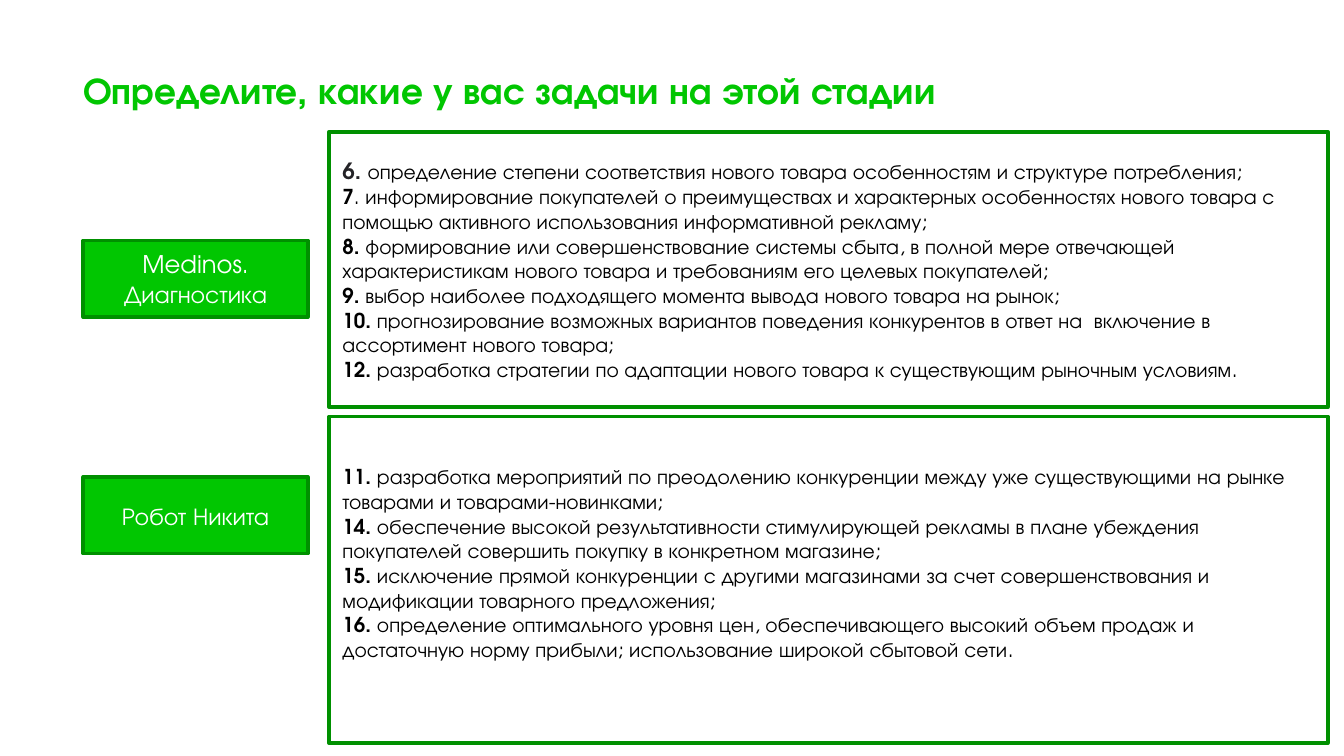
"""Build a slide that sorts launch-stage tasks between two projects."""
from pptx import Presentation
from pptx.dml.color import RGBColor
from pptx.enum.shapes import MSO_SHAPE
from pptx.enum.text import MSO_ANCHOR, PP_ALIGN
from pptx.util import Inches, Pt

GREEN = RGBColor(0x01, 0xC6, 0x01)
DARK_GREEN = RGBColor(0x00, 0x90, 0x00)
WHITE = RGBColor(0xFF, 0xFF, 0xFF)
BLACK = RGBColor(0x00, 0x00, 0x00)
CHARCOAL = RGBColor(0x24, 0x23, 0x27)
FONT = "TeX Gyre Adventor"

DIAGNOSTIC_TASKS = [
    ("6. ", "определение степени соответствия нового товара особенностям и структуре потребления;"),
    ("7", ". информирование покупателей о преимуществах и характерных особенностях нового товара с "
          "помощью активного использования информативной рекламу;"),
    ("8.", " формирование или совершенствование системы сбыта, в полной мере отвечающей "
           "характеристикам нового товара и требованиям его целевых покупателей;"),
    ("9.", " выбор наиболее подходящего момента вывода нового товара на рынок;"),
    ("10.", " прогнозирование возможных вариантов поведения конкурентов в ответ на  включение в "
            "ассортимент нового товара;"),
    ("12.", " разработка стратегии по адаптации нового товара к существующим рыночным условиям."),
]
ROBOT_TASKS = [
    ("11.", " разработка мероприятий по преодолению конкуренции между уже существующими на рынке "
            "товарами и товарами-новинками;"),
    ("14.", " обеспечение высокой результативности стимулирующей рекламы в плане убеждения "
            "покупателей совершить покупку в конкретном магазине;"),
    ("15.", " исключение прямой конкуренции с другими магазинами за счет совершенствования и "
            "модификации товарного предложения;"),
    ("16.", " определение оптимального уровня цен, обеспечивающего высокий объем продаж и "
            "достаточную норму прибыли; использование широкой сбытовой сети."),
]
PROJECTS = [
    (["Medinos.", "Диагностика"], 1.79, 0.98, 2.05, 0.05, DIAGNOSTIC_TASKS),
    (["Робот Никита"], 3.55, 3.1, 2.43, 0.3, ROBOT_TASKS),
]


def style(run, size, color, bold=False):
    run.font.name = FONT
    run.font.size = Pt(size)
    run.font.bold = bold
    run.font.color.rgb = color


def add_box(left, top, width, height):
    box = slide.shapes.add_shape(
        MSO_SHAPE.RECTANGLE, Inches(left), Inches(top), Inches(width), Inches(height))
    box.shadow.inherit = False
    box.line.color.rgb = DARK_GREEN
    box.line.width = Pt(2)
    box.text_frame.word_wrap = True
    box.text_frame.vertical_anchor = MSO_ANCHOR.MIDDLE
    return box


deck = Presentation()
deck.slide_width = Inches(10)
deck.slide_height = Inches(10 * 9 / 16)
slide = deck.slides.add_slide(deck.slide_layouts[6])

heading = slide.shapes.add_textbox(
    Inches(0.62), Inches(0.4), Inches(7.67), Inches(0.75)).text_frame
heading.word_wrap = True
heading.margin_left = 0
heading.margin_top = heading.margin_right = heading.margin_bottom = Inches(0.1)
heading.text = "Определите, какие у вас задачи на этой стадии"
style(heading.paragraphs[0].runs[0], 20, GREEN, True)

for name_lines, label_top, panel_top, panel_height, bottom_inset, tasks in PROJECTS:
    label = add_box(0.62, label_top, 1.67, 0.57)
    label.fill.solid()
    label.fill.fore_color.rgb = GREEN
    label.text_frame.text = "\n".join(name_lines)
    for paragraph in label.text_frame.paragraphs:
        paragraph.alignment = PP_ALIGN.CENTER
        style(paragraph.runs[0], 13, WHITE)

    panel = add_box(2.45, panel_top, 7.43, panel_height)
    panel.fill.background()
    panel.text_frame.margin_bottom = Inches(bottom_inset)
    panel.text_frame.text = "\n".join(number for number, task in tasks)
    for paragraph, (number, task) in zip(panel.text_frame.paragraphs, tasks):
        paragraph.alignment = PP_ALIGN.LEFT
        style(paragraph.runs[0], 11, BLACK, True)
        task_run = paragraph.add_run()
        task_run.text = task
        style(task_run, 11, BLACK)
        if number == "6. ":
            style(paragraph.runs[0], 12, CHARCOAL, True)

deck.save("out.pptx")
